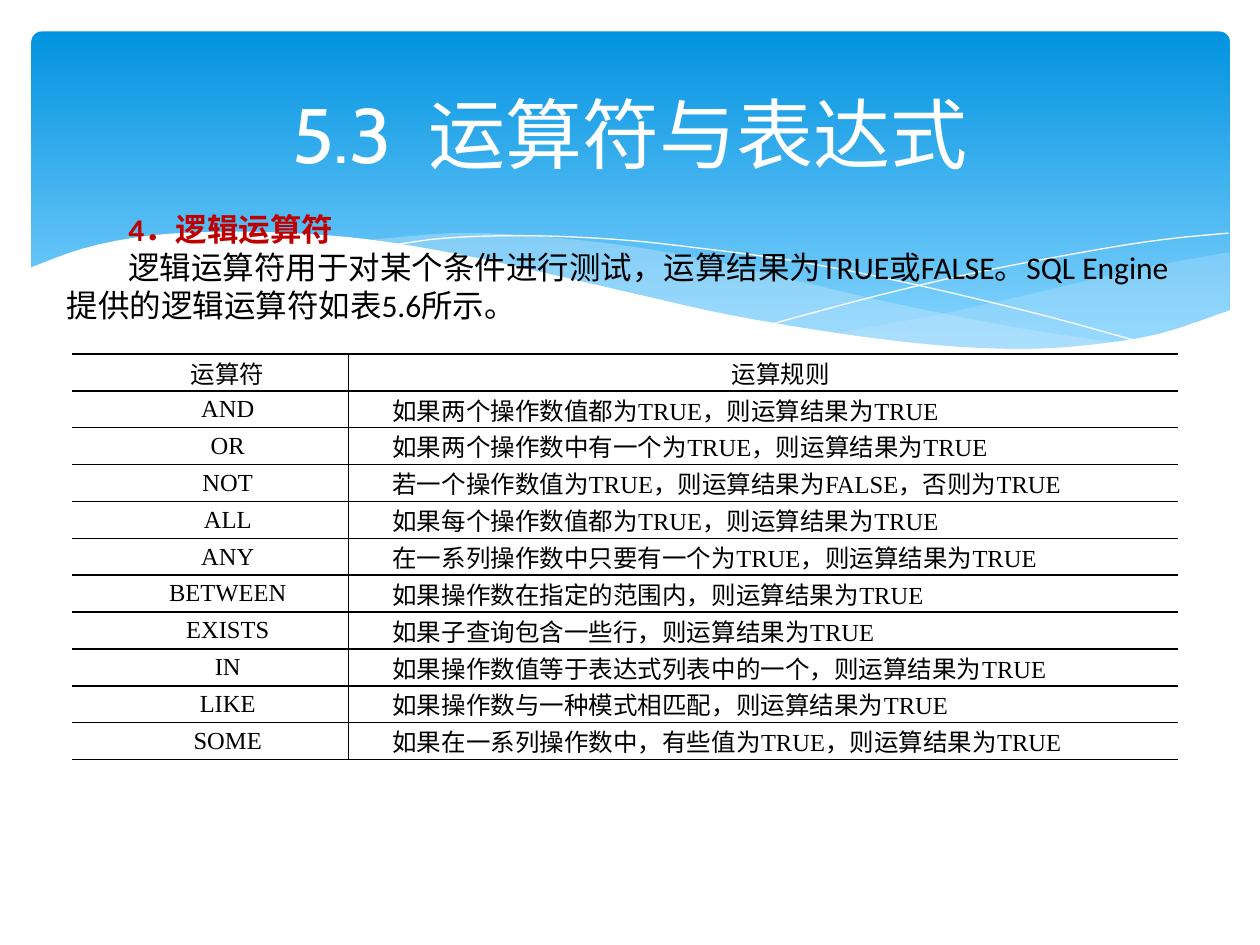
from dataclasses import dataclass
from typing import Optional

from lxml import etree
from pptx import Presentation
from pptx import util as u
from pptx.dml.color import RGBColor
from pptx.enum import shapes, text
from pptx.oxml.ns import qn

# One grid cell is a tenth of the slide's width, and square
COLUMNS, ROWS = 10, 7.5
CELL = u.Inches(1)
BLACK, WHITE, PALE_BLUE = "000000", "FFFFFF", "C6E7FC"
Point = tuple[float, float]


@dataclass
class Box:
    left: float
    top: float
    width: float
    height: float

    def emu(self) -> list[int]:
        return [cells(v) for v in (self.left, self.top, self.width, self.height)]


@dataclass
class Wave:
    """Smooth curves joined end to end: a filled band or a thin line."""
    curves: list[list[Point]]
    fill: Optional[str] = None
    opacity: int = 100


@dataclass
class Operator:
    name: str
    rule: str


WAVES = [
    Wave([[(9.76, 2), (9.06, 2.13), (8.32, 2.3), (7.53, 2.48), (6.61, 2.65)],
          [(6.61, 2.65), (7.05, 2.71), (7.57, 2.76), (8.14, 2.78), (8.72, 2.74),
           (9.28, 2.63), (9.76, 2.47)]], PALE_BLUE, 29),
    Wave([[(8.93, 2.73), (8.07, 2.6), (7.06, 2.4), (6.29, 2.22), (5.55, 2.05),
           (4.89, 1.94), (4.2, 1.87), (3.61, 1.85), (2.86, 1.91)],
          [(2.86, 1.91), (3.62, 2.03), (4.49, 2.22), (5.3, 2.4), (6.18, 2.58),
           (6.95, 2.7), (7.61, 2.77), (8.28, 2.78), (8.93, 2.73)]], PALE_BLUE, 40),
    Wave([[(3.09, 1.95), (3.53, 1.89), (4.16, 1.87), (4.89, 1.9), (5.56, 1.97),
           (6.36, 2.08), (7.27, 2.26), (8.31, 2.51), (9.07, 2.72)]]),
    Wave([[(6.13, 2.57), (6.95, 2.35), (7.76, 2.16), (8.66, 1.99), (9.24, 1.9),
           (9.75, 1.85)]]),
    Wave([[(9.77, 2.46), (9.2, 2.65), (8.63, 2.74), (8.09, 2.77), (7.44, 2.74),
           (6.68, 2.65), (5.79, 2.5), (5.03, 2.33), (4.47, 2.2), (3.65, 2.02),
           (2.92, 1.9), (2.3, 1.85), (1.77, 1.84), (1.19, 1.87), (0.67, 1.97),
           (0.23, 2.13)],
          [(0.23, 3.29), (9.77, 3.29)]], WHITE),
]

HEADINGS = Operator("运算符", "运算规则")
OPERATORS = [
    Operator("AND", "如果两个操作数值都为TRUE，则运算结果为TRUE"),
    Operator("OR", "如果两个操作数中有一个为TRUE，则运算结果为TRUE"),
    Operator("NOT", "若一个操作数值为TRUE，则运算结果为FALSE，否则为TRUE"),
    Operator("ALL", "如果每个操作数值都为TRUE，则运算结果为TRUE"),
    Operator("ANY", "在一系列操作数中只要有一个为TRUE，则运算结果为TRUE"),
    Operator("BETWEEN", "如果操作数在指定的范围内，则运算结果为TRUE"),
    Operator("EXISTS", "如果子查询包含一些行，则运算结果为TRUE"),
    Operator("IN", "如果操作数值等于表达式列表中的一个，则运算结果为TRUE"),
    Operator("LIKE", "如果操作数与一种模式相匹配，则运算结果为TRUE"),
    Operator("SOME", "如果在一系列操作数中，有些值为TRUE，则运算结果为TRUE"),
]


def cells(count: float) -> int:
    return round(count * CELL)


def colour(value: str) -> RGBColor:
    return RGBColor.from_string(value)


def smooth(knots: list[Point], steps: int = 4) -> list[Point]:
    """Catmull-Rom curve through the knots."""
    if len(knots) < 3:
        return knots
    padded = [knots[0], *knots, knots[-1]]
    curve = []
    for a, b, c, d in zip(padded, padded[1:], padded[2:], padded[3:]):
        for step in range(steps):
            t = step / steps
            curve.append(tuple(
                q + t * (r - p) / 2 + t**2 * (2 * p - 5 * q + 4 * r - s) / 2
                + t**3 * (3 * q - p - 3 * r + s) / 2
                for p, q, r, s in zip(a, b, c, d)))
    return curve + [knots[-1]]


def draw_wave(slide, wave: Wave) -> None:
    points = [(cells(x), cells(y)) for curve in wave.curves for x, y in smooth(curve)]
    builder = slide.shapes.build_freeform(*points[0])
    builder.add_line_segments(points[1:], close=wave.fill is not None)
    shape = builder.convert_to_shape()
    shape.shadow.inherit = False
    if wave.fill is None:
        shape.fill.background()
        shape.line.color.rgb = colour(WHITE)
        shape.line.width = u.Pt(0)
        return
    shape.line.fill.background()
    shape.fill.solid()
    shape.fill.fore_color.rgb = colour(wave.fill)
    if wave.opacity < 100:
        tint = shape.fill._xPr.find(qn("a:solidFill"))[0]
        etree.SubElement(tint, qn("a:alpha")).set("val", str(wave.opacity * 1000))


def draw_banner(slide, box: Box) -> None:
    banner = slide.shapes.add_shape(shapes.MSO_SHAPE.ROUNDED_RECTANGLE, *box.emu())
    banner.adjustments[0] = 0.03
    banner.shadow.inherit = False
    banner.line.fill.background()
    banner.fill.gradient()
    banner.fill.gradient_angle = 270
    for stop, position, tone in zip(banner.fill.gradient_stops, (0, 0.9), ("0293E0", "83D3FE")):
        stop.position = position
        stop.color.rgb = colour(tone)


def format_paragraph(paragraph, font: str, size: float, tone: str,
                     bold: bool = False, indent: float = 0) -> None:
    if indent:
        properties = paragraph._p.get_or_add_pPr()
        properties.set("marL", "0")
        properties.set("indent", str(cells(indent)))
    for run in paragraph.runs:
        run.font.name, run.font.size, run.font.bold = font, u.Pt(size), bold
        run.font.color.rgb = colour(tone)


def add_text_frame(slide, box: Box):
    frame = slide.shapes.add_textbox(*box.emu()).text_frame
    frame.word_wrap = True
    return frame


def draw_title(slide, box: Box) -> None:
    frame = add_text_frame(slide, box)
    frame.vertical_anchor = text.MSO_ANCHOR.MIDDLE
    title = frame.paragraphs[0]
    title.alignment = text.PP_ALIGN.CENTER
    number, gap, topic = [title.add_run() for _ in range(3)]
    number.text, gap.text, topic.text = "5.3", " ", "运算符与表达式"
    format_paragraph(title, "Cabin", 44, WHITE)
    # Letter spacing widens the gap after the section number
    gap._r.get_or_add_rPr().set("spc", "1100")


def draw_introduction(slide, box: Box) -> None:
    frame = add_text_frame(slide, box)
    heading, body = frame.paragraphs[0], frame.add_paragraph()
    heading.text = "4．逻辑运算符"
    body.text = ("逻辑运算符用于对某个条件进行测试，运算结果为TRUE或FALSE。"
                 "SQL Engine提供的逻辑运算符如表5.6所示。")
    format_paragraph(heading, "Calibri", 18, "C00000", bold=True, indent=0.49)
    format_paragraph(body, "Calibri", 18, BLACK, indent=0.49)


def set_borders(cell, ruled: str) -> None:
    properties = cell._tc.get_or_add_tcPr()
    for side in "LRTB":
        line = etree.SubElement(properties, qn(f"a:ln{side}"), w=str(u.Pt(1)))
        if side in ruled:
            fill = etree.SubElement(line, qn("a:solidFill"))
            etree.SubElement(fill, qn("a:srgbClr"), val=BLACK)
        else:
            etree.SubElement(line, qn("a:noFill"))


def fill_cell(cell, content: str, align, ruled: str) -> None:
    cell.text_frame.text = content
    cell.vertical_anchor = text.MSO_ANCHOR.MIDDLE
    cell.margin_left = cell.margin_right = cells(0.07)
    cell.margin_top = cell.margin_bottom = 0
    paragraph = cell.text_frame.paragraphs[0]
    paragraph.alignment = align
    paragraph.space_before = paragraph.space_after = u.Pt(1.2)
    format_paragraph(paragraph, "Times New Roman", 14, BLACK, indent=0.28)
    set_borders(cell, ruled)
    cell.fill.background()


def draw_operators(slide, box: Box, name_share: float = 0.25) -> None:
    entries = [HEADINGS, *OPERATORS]
    table = slide.shapes.add_table(len(entries), 2, *box.emu()).table
    table.first_row = table.horz_banding = False
    for column, share in zip(table.columns, (name_share, 1 - name_share)):
        column.width = cells(box.width * share)
    for index, entry in enumerate(entries):
        table.rows[index].height = cells(box.height / len(entries))
        rule_align = text.PP_ALIGN.JUSTIFY if index else text.PP_ALIGN.CENTER
        fill_cell(table.cell(index, 0), entry.name, text.PP_ALIGN.CENTER, "RTB")
        fill_cell(table.cell(index, 1), entry.rule, rule_align, "LTB")


def main() -> None:
    deck = Presentation()
    deck.slide_width, deck.slide_height = cells(COLUMNS), cells(ROWS)
    slide = deck.slides.add_slide(deck.slide_layouts[6])
    # Banner with waves
    draw_banner(slide, Box(0.25, 0.25, 9.51, 2.7))
    for wave in WAVES:
        draw_wave(slide, wave)
    # Content
    draw_title(slide, Box(0.5, 0.37, 9, 1.37))
    draw_introduction(slide, Box(0.43, 1.62, 9.06, 1.01))
    draw_operators(slide, Box(0.57, 2.81, 8.78, 3.22))
    deck.save("out.pptx")


if __name__ == "__main__":
    main()
